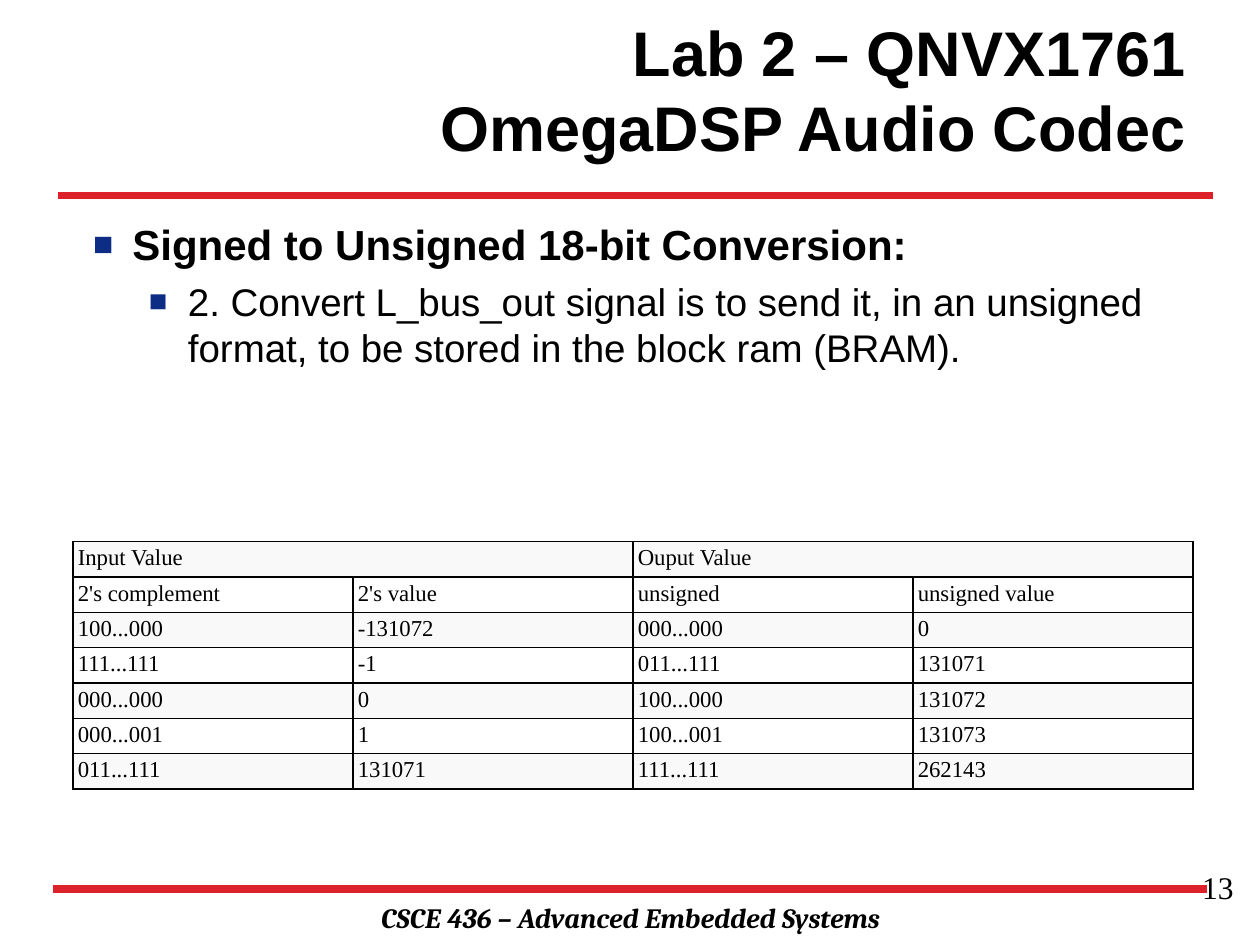
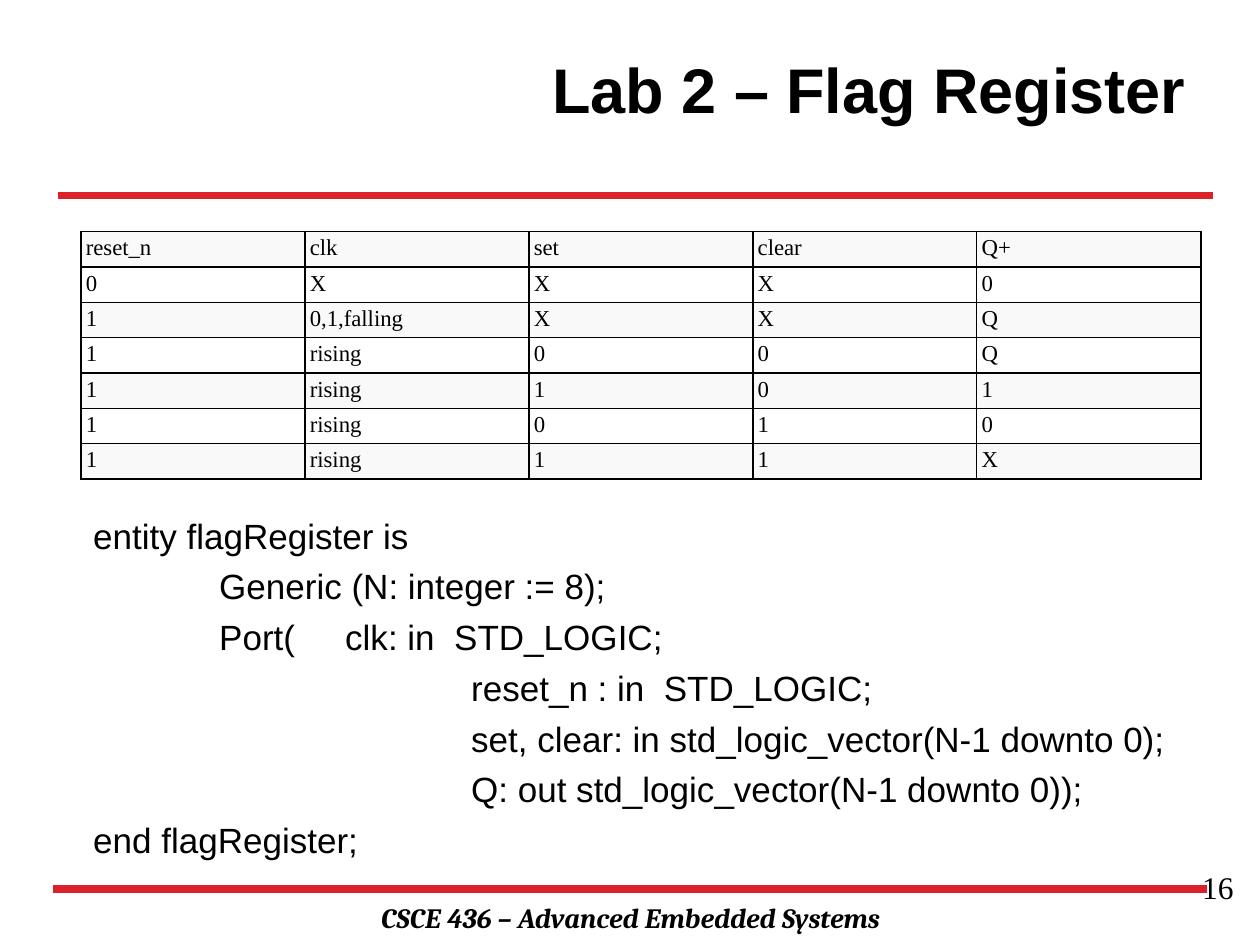
from dataclasses import dataclass

from lxml import etree
from pptx import Presentation
from pptx.dml.color import RGBColor
from pptx.enum.shapes import MSO_CONNECTOR
from pptx.enum.text import MSO_ANCHOR, PP_ALIGN
from pptx.oxml.ns import qn
from pptx.util import Cm, Pt

LEFT, CENTER, RIGHT = PP_ALIGN.LEFT, PP_ALIGN.CENTER, PP_ALIGN.RIGHT
MIDDLE = MSO_ANCHOR.MIDDLE
STRAIGHT = MSO_CONNECTOR.STRAIGHT
TITLE_ONLY = 5


@dataclass(frozen=True)
class Theme:
    ink: str = "000000"
    rule: str = "DD212B"
    bullet: str = "0C2D83"
    row_fills: tuple[str, str] = ("F9F9F9", "FFFFFF")
    sans: str = "Arial"
    serif: str = "Times New Roman"
    footer_font: str = "Cambria"
    title_size: float = 36
    heading_size: float = 24
    point_size: float = 22
    code_size: float = 20
    number_size: float = 18
    footer_size: float = 16
    cell_size: float = 13
    paragraph_gap: float = 5
    rule_width: float = 4.5
    border_width: float = 1


THEME = Theme()


@dataclass(frozen=True)
class Box:
    """A place on the slide, in centimetres."""
    left: float
    top: float
    width: float
    height: float

    def lengths(self) -> tuple[Cm, Cm, Cm, Cm]:
        return Cm(self.left), Cm(self.top), Cm(self.width), Cm(self.height)


@dataclass(frozen=True)
class Line:
    """One paragraph; margin and hanging are in centimetres."""
    text: str
    size: float
    font: str = THEME.sans
    bold: bool = False
    italic: bool = False
    align: PP_ALIGN = LEFT
    margin: float = 0
    hanging: float = 0
    bullet: str = ""


@dataclass(frozen=True)
class Grid:
    """A table; merges holds the first and last column of merged header cells."""
    left: float
    top: float
    rows: list[list[str]]
    merges: tuple[tuple[int, int], ...] = ()


SLIDE_WIDTH, SLIDE_HEIGHT = 25.4, 19.05
TITLE_BOX = Box(5.31, 0.2, 18.85, 3.18)
BODY_BOX = Box(1.63, 4.29, 22.58, 12)
CODE_BOX = Box(1.63, 10.24, 22.58, 7)
FOOTER_BOX = Box(3.61, 18.03, 18.21, 0.94)
NUMBER_BOX = Box(19.2, 17.37, 5.92, 1.32)
RULES = ((1.07, 17.93, 24.33), (1.17, 3.94, 24.46))
TABLE_WIDTH, ROW_HEIGHT = 22.58, 0.71
CELL_INSET_X, CELL_INSET_Y = 0.1, 0.08
CODE_TAB = 2.54
BULLET_HANG = 0.79

FOOTER = "CSCE 436 – Advanced Embedded Systems"

CONVERSION_POINTS = [
    Line("Signed to Unsigned 18-bit Conversion:", THEME.heading_size, bold=True,
         margin=0.79, hanging=BULLET_HANG, bullet="■"),
    Line("2. Convert L_bus_out signal is to send it, in an unsigned format, "
         "to be stored in the block ram (BRAM).", THEME.point_size,
         margin=1.91, hanging=BULLET_HANG, bullet="■"),
]

CONVERSION_GRID = Grid(1.47, 10.92, [
    ["Input Value", "", "Ouput Value", ""],
    ["2's complement", "2's value", "unsigned", "unsigned value"],
    ["100...000", "-131072", "000...000", "0"],
    ["111...111", "-1", "011...111", "131071"],
    ["000...000", "0", "100...000", "131072"],
    ["000...001", "1", "100...001", "131073"],
    ["011...111", "131071", "111...111", "262143"],
], merges=((0, 1), (2, 3)))

FLAG_GRID = Grid(1.63, 4.67, [
    ["reset_n", "clk", "set", "clear", "Q+"],
    ["0", "X", "X", "X", "0"],
    ["1", "0,1,falling", "X", "X", "Q"],
    ["1", "rising", "0", "0", "Q"],
    ["1", "rising", "1", "0", "1"],
    ["1", "rising", "0", "1", "0"],
    ["1", "rising", "1", "1", "X"],
])

FLAG_ENTITY = [
    (0, "entity flagRegister is"),
    (1, "Generic (N: integer := 8);"),
    (1, "Port(\tclk: in  STD_LOGIC;"),
    (3, "reset_n : in  STD_LOGIC;"),
    (3, "set, clear: in std_logic_vector(N-1 downto 0);"),
    (3, "Q: out std_logic_vector(N-1 downto 0));"),
    (0, "end flagRegister;"),
]


def add_bullet(paragraph, character: str) -> None:
    properties = paragraph._p.get_or_add_pPr()
    color = etree.SubElement(properties, qn("a:buClr"))
    etree.SubElement(color, qn("a:srgbClr"), val=THEME.bullet)
    etree.SubElement(properties, qn("a:buSzPct"), val="80000")
    etree.SubElement(properties, qn("a:buFont"), typeface=THEME.sans)
    etree.SubElement(properties, qn("a:buChar"), char=character)


def write_line(paragraph, line: Line) -> None:
    paragraph.text = line.text
    paragraph.alignment = line.align
    for run in paragraph.runs:
        run.font.name = line.font
        run.font.size = Pt(line.size)
        run.font.bold = line.bold
        run.font.italic = line.italic
        run.font.color.rgb = RGBColor.from_string(THEME.ink)
    if line.margin:
        properties = paragraph._p.get_or_add_pPr()
        properties.set("marL", str(Cm(line.margin)))
        properties.set("indent", str(-Cm(line.hanging)))
    if line.bullet:
        add_bullet(paragraph, line.bullet)


def add_text(slide, box: Box, lines: list[Line]) -> None:
    frame = slide.shapes.add_textbox(*box.lengths()).text_frame
    frame.word_wrap = True
    for index, line in enumerate(lines):
        paragraph = frame.add_paragraph() if index else frame.paragraphs[0]
        if index:
            paragraph.space_before = Pt(THEME.paragraph_gap)
        write_line(paragraph, line)


def add_rule(slide, left: float, top: float, right: float) -> None:
    rule = slide.shapes.add_connector(STRAIGHT, Cm(left), Cm(top), Cm(right), Cm(top))
    rule.line.color.rgb = RGBColor.from_string(THEME.rule)
    rule.line.width = Pt(THEME.rule_width)
    etree.SubElement(rule._element.spPr, qn("a:effectLst"))


def add_borders(cell) -> None:
    properties = cell._tc.get_or_add_tcPr()
    for index, side in enumerate(("a:lnL", "a:lnR", "a:lnT", "a:lnB")):
        border = etree.Element(qn(side), w=str(Pt(THEME.border_width)))
        fill = etree.SubElement(border, qn("a:solidFill"))
        etree.SubElement(fill, qn("a:srgbClr"), val=THEME.ink)
        properties.insert(index, border)


def add_grid(slide, grid: Grid) -> None:
    row_count, column_count = len(grid.rows), len(grid.rows[0])
    box = Box(grid.left, grid.top, TABLE_WIDTH, ROW_HEIGHT * row_count)
    table = slide.shapes.add_table(row_count, column_count, *box.lengths()).table
    table.first_row = table.horz_banding = False
    for row_index, texts in enumerate(grid.rows):
        for column_index, text in enumerate(texts):
            cell = table.cell(row_index, column_index)
            cell.margin_left = cell.margin_right = Cm(CELL_INSET_X)
            cell.margin_top = cell.margin_bottom = Cm(CELL_INSET_Y)
            cell.fill.solid()
            cell.fill.fore_color.rgb = RGBColor.from_string(THEME.row_fills[row_index % 2])
            add_borders(cell)
            write_line(cell.text_frame.paragraphs[0],
                       Line(text, THEME.cell_size, THEME.serif))
    for first, last in grid.merges:
        table.cell(0, first).merge(table.cell(0, last))


def add_lab_slide(deck, title: str, number: int):
    """Add a slide with its title, rules, footer and number."""
    slide = deck.slides.add_slide(deck.slide_layouts[TITLE_ONLY])
    heading = slide.shapes.title
    heading.left, heading.top, heading.width, heading.height = TITLE_BOX.lengths()
    heading.text_frame.vertical_anchor = MIDDLE
    heading.text_frame.word_wrap = True
    write_line(heading.text_frame.paragraphs[0],
               Line(title, THEME.title_size, bold=True, align=RIGHT))
    for rule in RULES:
        add_rule(slide, *rule)
    add_text(slide, FOOTER_BOX, [Line(FOOTER, THEME.footer_size, THEME.footer_font,
                                      bold=True, italic=True, align=CENTER)])
    add_text(slide, NUMBER_BOX, [Line(str(number), THEME.number_size, THEME.serif,
                                      align=RIGHT)])
    return slide


def main() -> None:
    deck = Presentation()
    deck.slide_width, deck.slide_height = Cm(SLIDE_WIDTH), Cm(SLIDE_HEIGHT)

    conversion = add_lab_slide(deck, "Lab 2 – QNVX1761 OmegaDSP Audio Codec", 13)
    add_grid(conversion, CONVERSION_GRID)
    add_text(conversion, BODY_BOX, CONVERSION_POINTS)

    flag_register = add_lab_slide(deck, "Lab 2 – Flag Register", 16)
    add_text(flag_register, CODE_BOX,
             [Line(text, THEME.code_size, margin=tabs * CODE_TAB)
              for tabs, text in FLAG_ENTITY])
    add_grid(flag_register, FLAG_GRID)

    deck.save("out.pptx")


if __name__ == "__main__":
    main()
